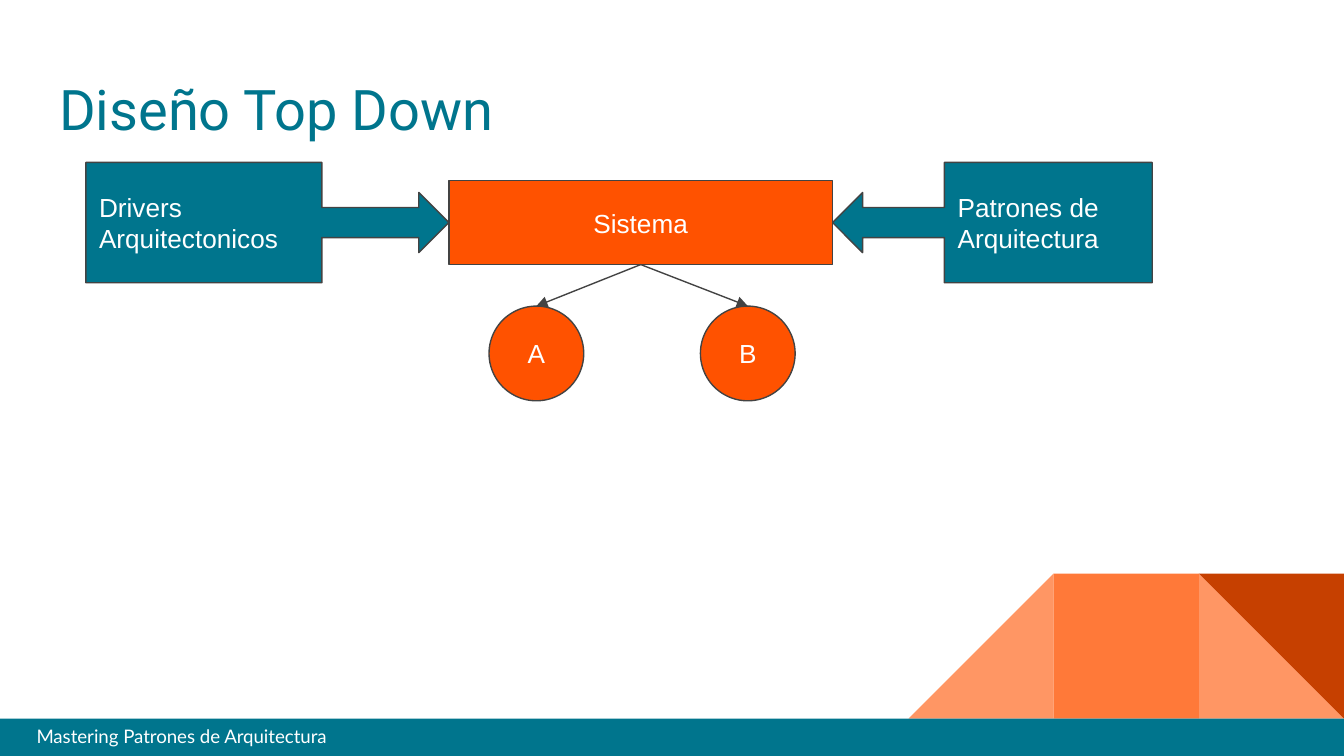
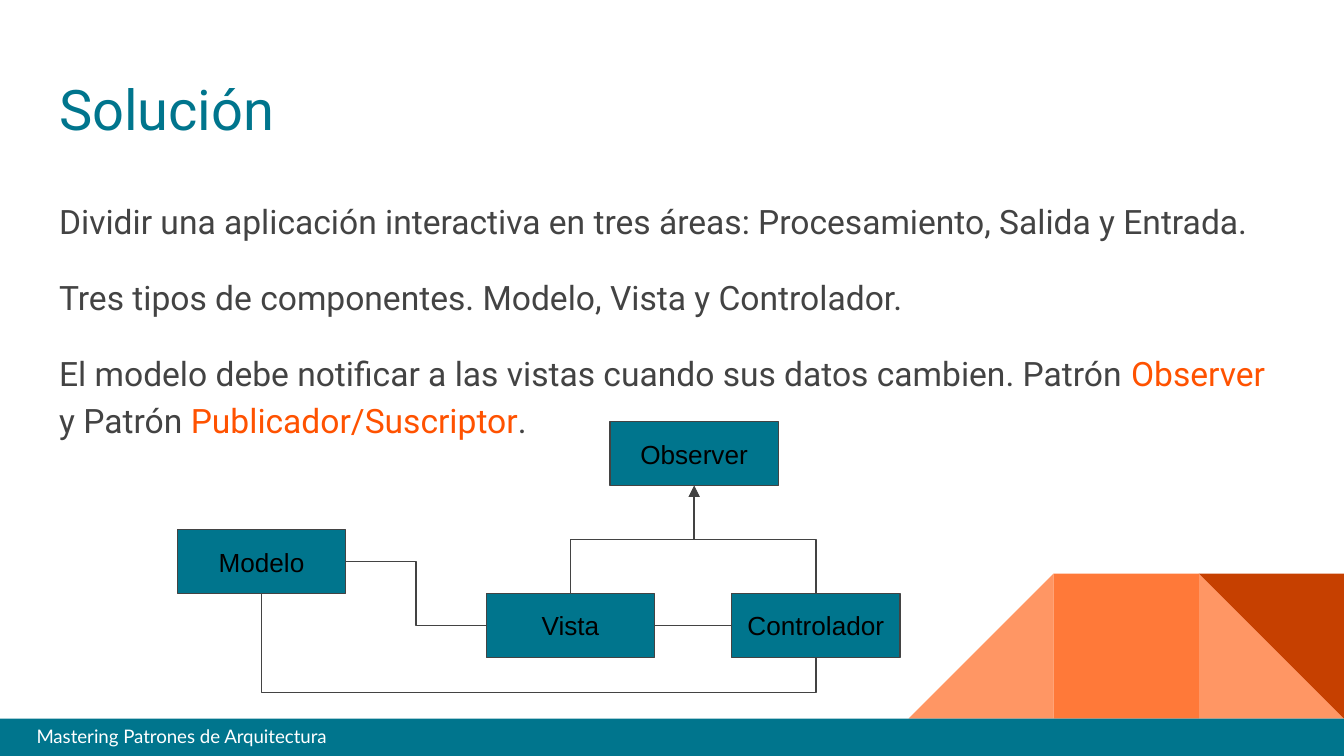
from lxml import etree
from pptx import Presentation
from pptx.dml.color import RGBColor
from pptx.enum.shapes import MSO_CONNECTOR, MSO_SHAPE
from pptx.enum.text import MSO_ANCHOR, MSO_AUTO_SIZE, PP_ALIGN
from pptx.oxml.ns import qn
from pptx.util import Pt

RECT, ELLIPSE = MSO_SHAPE.RECTANGLE, MSO_SHAPE.OVAL
TRIANGLE = MSO_SHAPE.RIGHT_TRIANGLE
RIGHT_CALLOUT = MSO_SHAPE.RIGHT_ARROW_CALLOUT
LEFT_CALLOUT = MSO_SHAPE.LEFT_ARROW_CALLOUT
STRAIGHT, ELBOW = MSO_CONNECTOR.STRAIGHT, MSO_CONNECTOR.ELBOW
TOP_ANCHOR, MIDDLE = MSO_ANCHOR.TOP, MSO_ANCHOR.MIDDLE
NO_FIT = MSO_AUTO_SIZE.NONE
ALIGN_LEFT, ALIGN_CENTER = PP_ALIGN.LEFT, PP_ALIGN.CENTER
TOP, LEFT, BOTTOM, RIGHT = range(4)
TITLE_AND_BODY, TITLE_ONLY = 1, 5

TEAL, ORANGE, GRAY = "00758D", "FF5200", "434343"
PEACH, LIGHT_ORANGE, RUST = "FF9664", "FF7939", "C64000"
WHITE, BLACK = "FFFFFF", "000000"
WIDTH, HEIGHT = 720, 405


def rgb(value):
    return RGBColor.from_string(value)


class Deck:
    """Holds the presentation, its style and the current slide."""

    def __init__(self):
        self.prs = Presentation()
        self.prs.slide_width, self.prs.slide_height = Pt(WIDTH), Pt(HEIGHT)
        self.slide = None

    def new_slide(self, layout, title):
        self.slide = self.prs.slides.add_slide(self.prs.slide_layouts[layout])
        heading = self.slide.shapes.title
        self.place(heading, 24.5, 32.5, 671, 47.5)
        heading.text_frame.text = title
        self.style(heading.text_frame.paragraphs[0], 30, "Roboto", TEAL)

    def place(self, shape, left, top, width, height):
        shape.left, shape.top = Pt(left), Pt(top)
        shape.width, shape.height = Pt(width), Pt(height)
        self.frame(shape.text_frame, TOP_ANCHOR)

    def frame(self, text_frame, anchor):
        text_frame.word_wrap = True
        text_frame.auto_size = NO_FIT
        text_frame.vertical_anchor = anchor
        text_frame.margin_left = text_frame.margin_right = Pt(7.2)
        text_frame.margin_top = text_frame.margin_bottom = Pt(7.2)

    def style(self, paragraph, size, font, color, align=ALIGN_LEFT):
        paragraph.alignment = align
        paragraph.font.size, paragraph.font.name = Pt(size), font
        paragraph.font.color.rgb = rgb(color)

    def shape(self, kind, left, top, width, height, fill):
        shape = self.slide.shapes.add_shape(
            kind, Pt(left), Pt(top), Pt(width), Pt(height))
        shape.shadow.inherit = False
        shape.fill.solid()
        shape.fill.fore_color.rgb = rgb(fill)
        shape.line.fill.background()
        return shape

    def box(self, kind, text, bounds, fill, color, align=ALIGN_CENTER):
        box = self.shape(kind, *bounds, fill)
        box.line.fill.solid()
        box.line.color.rgb = rgb(GRAY)
        box.line.width = Pt(0.75)
        self.frame(box.text_frame, MIDDLE)
        box.text_frame.text = text
        self.style(box.text_frame.paragraphs[0], 14, "Arial", color, align)
        return box

    def callout(self, kind, text, bounds):
        callout = self.box(kind, text, bounds, TEAL, WHITE, ALIGN_LEFT)
        for index, value in enumerate((0.25, 0.25, 0.25, 0.65)):
            callout.adjustments[index] = value

    def body(self, paragraphs):
        """Each paragraph is a list of (text, color) parts."""
        body = self.slide.placeholders[1]
        self.place(body, 24.5, 97.2, 671, 262.8)
        for index, parts in enumerate(paragraphs):
            frame = body.text_frame
            paragraph = frame.add_paragraph() if index else frame.paragraphs[0]
            properties = paragraph._p.get_or_add_pPr()
            properties.set("marL", "0")
            properties.set("indent", "0")
            etree.SubElement(properties, qn("a:buNone"))
            paragraph.line_spacing = 1.15
            paragraph.space_before = Pt(16 if index else 0)
            self.style(paragraph, 18, "Roboto", GRAY)
            for text, color in parts:
                run = paragraph.add_run()
                run.text = text
                if color != GRAY:
                    run.font.color.rgb = rgb(color)

    def connect(self, kind, start, start_side, end, end_side, arrow=False):
        line = self.slide.shapes.add_connector(kind, 0, 0, 0, 0)
        line.begin_connect(start, start_side)
        line.end_connect(end, end_side)
        line.line.color.rgb = rgb(GRAY)
        line.line.width = Pt(0.75)
        if arrow:
            etree.SubElement(line.line._get_or_add_ln(), qn("a:tailEnd"),
                             type="triangle")
        etree.SubElement(line._element.spPr, qn("a:effectLst"))
        return line

    def rising_elbow(self, start, start_side, end, end_side, bend=0.5,
                     arrow=False):
        """Elbow that leaves vertically and ends higher than it starts."""
        line = self.connect(ELBOW, start, start_side, end, end_side, arrow)
        across = line.end_x - line.begin_x
        middle_x = (line.begin_x + line.end_x) // 2
        middle_y = (line.begin_y + line.end_y) // 2
        length, depth = line.begin_y - line.end_y, abs(across)
        line.left, line.top = middle_x - length // 2, middle_y - depth // 2
        line.width, line.height = length, depth
        properties = line._element.spPr
        transform = properties.find(qn("a:xfrm"))
        transform.set("rot", str(270 * 60000))
        transform.set("flipH", "0")
        transform.set("flipV", "1" if across < 0 else "0")
        guides = properties.find(qn("a:prstGeom")).find(qn("a:avLst"))
        etree.SubElement(guides, qn("a:gd"), name="adj1",
                         fmla=f"val {round(bend * 100000)}")

    def shared_artwork(self):
        """Draws the corner and footer, then moves them to the master."""
        tile, band_top = 77.75, 385
        top = band_top - tile
        columns = [WIDTH - tile * n for n in (3, 2, 1)]
        right = self.shape(TRIANGLE, columns[2], top, tile, tile, PEACH)
        left = self.shape(TRIANGLE, columns[0], top, tile, tile, PEACH)
        left._element.spPr.find(qn("a:xfrm")).set("flipH", "1")
        center = self.shape(RECT, columns[1], top, tile, tile, LIGHT_ORANGE)
        corner = self.shape(TRIANGLE, columns[2], top, tile, tile, RUST)
        corner.rotation = 180
        band = self.shape(RECT, 0, band_top, WIDTH, HEIGHT - band_top, TEAL)
        footer = self.slide.shapes.add_textbox(
            Pt(12.5), Pt(381), Pt(340), Pt(24))
        self.frame(footer.text_frame, TOP_ANCHOR)
        footer.text_frame.text = "Mastering Patrones de Arquitectura"
        self.style(footer.text_frame.paragraphs[0], 10, "Lato", WHITE)
        master_tree = self.prs.slide_master.shapes._spTree
        for part in (right, left, center, corner, band, footer):
            master_tree.append(part._element)


def top_down(deck):
    deck.new_slide(TITLE_ONLY, "Diseño Top Down")
    deck.shared_artwork()

    # System and what shapes it
    system = deck.box(RECT, "Sistema", (240.5, 96.75, 205.5, 45), ORANGE, WHITE)
    deck.callout(RIGHT_CALLOUT, "Drivers Arquitectonicos",
                 (46, 87, 194.5, 64.5))
    deck.callout(LEFT_CALLOUT, "Patrones de Arquitectura",
                 (446, 87, 171.25, 64.5))

    # Its parts
    for name, left in (("A", 262), ("B", 375.25)):
        part = deck.box(ELLIPSE, name, (left, 164, 50.75, 50.75), ORANGE, WHITE)
        deck.connect(STRAIGHT, system, BOTTOM, part, TOP, arrow=True)


def solution(deck):
    deck.new_slide(TITLE_AND_BODY, "Solución")
    deck.body([
        [("Dividir una aplicación interactiva en tres áreas: "
          "Procesamiento, Salida y Entrada.", GRAY)],
        [("Tres tipos de componentes. Modelo, Vista y Controlador.", GRAY)],
        [("El modelo debe notificar a las vistas cuando sus datos cambien. "
          "Patrón ", GRAY), ("Observer", ORANGE), (" y Patrón ", GRAY),
         ("Publicador/Suscriptor", ORANGE), (".", GRAY)],
    ])

    # Components
    model, view, controller, observer = (
        deck.box(RECT, name, (left, top, 90.25, 34.25), TEAL, BLACK)
        for name, left, top in (("Modelo", 95, 283.75), ("Vista", 260.5, 318),
                                ("Controlador", 392, 318),
                                ("Observer", 326.75, 226)))

    # Relations
    for source in (view, controller):
        deck.rising_elbow(source, TOP, observer, BOTTOM, arrow=True)
    deck.connect(ELBOW, view, LEFT, model, RIGHT)
    deck.connect(ELBOW, view, RIGHT, controller, LEFT)
    deck.rising_elbow(controller, BOTTOM, model, BOTTOM, bend=-0.55)


def main():
    deck = Deck()
    top_down(deck)
    solution(deck)
    deck.prs.save("out.pptx")


if __name__ == "__main__":
    main()
